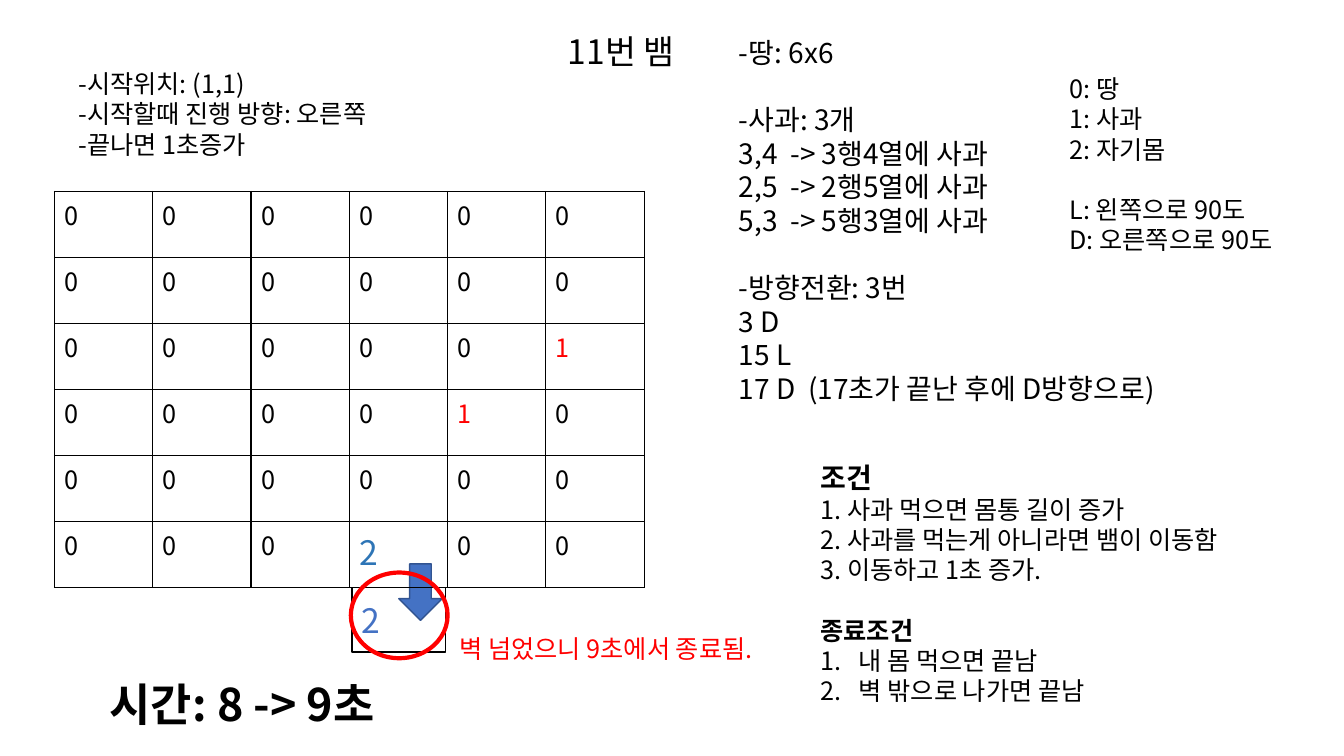
from lxml import etree
from pptx import Presentation
from pptx.dml.color import RGBColor
from pptx.enum import shapes, text
from pptx.oxml import ns
from pptx.util import Inches, Pt

FONT = "Noto Sans CJK KR"
BLACK, RED, BLUE = "000000", "FF0000", "4472C4"


def color(code):
    return RGBColor.from_string(code)


def write(frame, lines, size, code=BLACK, gaps=()):
    """Fill a frame line by line; lines listed in gaps get one line of space above."""
    frame.text = "\n".join(lines)
    for number, para in enumerate(frame.paragraphs):
        para.alignment = text.PP_ALIGN.LEFT
        if number in gaps:
            para.space_before = Pt(size * 1.2)
        for span in para.runs:
            span.font.name = FONT
            span.font.size = Pt(size)
            span.font.color.rgb = color(code)
            etree.SubElement(span.font._element, ns.qn("a:ea"), typeface=FONT)


deck = Presentation()
deck.slide_width, deck.slide_height = Inches(13.33), Inches(7.5)
page = deck.slides.add_slide(deck.slide_layouts[5])

# Title
title = page.shapes.title
title.left, title.top = Inches(1.16), Inches(0.3)
title.width, title.height = Inches(10), Inches(1.81)
frame = title.text_frame
write(frame, ["11번 뱀"], 24)
frame.vertical_anchor = text.MSO_ANCHOR.TOP
frame.auto_size = text.MSO_AUTO_SIZE.NONE
frame.paragraphs[0].alignment = text.PP_ALIGN.CENTER
frame.paragraphs[0].line_spacing = 0.9
frame.paragraphs[0].space_before = Pt(10)

# Board: apples are 1, the snake's head is 2
SIDE = 6
special = {(2, 5): ("1", 18, RED), (3, 4): ("1", 18, RED), (5, 3): ("2", 24, "2E75B6")}
board = page.shapes.add_table(SIDE, SIDE, Inches(0.54), Inches(1.9),
                              Inches(5.85), Inches(3.93)).table
board.first_row = board.horz_banding = False
for row in range(SIDE):
    for column in range(SIDE):
        cell = board.cell(row, column)
        value, size, code = special.get((row, column), ("0", 18, BLACK))
        write(cell.text_frame, [value], size, code)
        properties = cell._tc.get_or_add_tcPr()
        for edge in ("a:lnL", "a:lnR", "a:lnT", "a:lnB"):
            border = etree.SubElement(properties, ns.qn(edge), w=str(Pt(1)))
            fill = etree.SubElement(border, ns.qn("a:solidFill"))
            etree.SubElement(fill, ns.qn("a:srgbClr"), val=BLACK)
        cell.fill.background()

# Notes: left, top, width, height, size, colour, lines, lines with space above
notes = {
    "legend": (10.51, 0.68, 2.49, 1.92, 18, BLACK,
               ["0: 땅", "1: 사과", "2: 자기몸", "L: 왼쪽으로 90도", "D: 오른쪽으로 90도"], [3]),
    "input": (7.23, 0.3, 4.95, 3.8, 20, BLACK,
              ["-땅: 6x6", "-사과: 3개", "3,4  -> 3행4열에 사과", "2,5  -> 2행5열에 사과",
               "5,3  -> 5행3열에 사과", "-방향전환: 3번", "3 D", "15 L",
               "17 D  (17초가 끝난 후에 D방향으로)"], [1, 5]),
    "start": (0.68, 0.63, 3.51, 1.01, 18, BLACK,
              ["-시작위치: (1,1)", "-시작할때 진행 방향: 오른쪽", "-끝나면 1초증가"], []),
    "rules": (8.04, 4.52, 4.95, 2.56, 18, BLACK,
              ["조건", "1. 사과 먹으면 몸통 길이 증가", "2. 사과를 먹는게 아니라면 뱀이 이동함",
               "3. 이동하고 1초 증가.", "종료조건", "내 몸 먹으면 끝남", "벽 밖으로 나가면 끝남"], [4]),
    "time": (0.99, 6.66, 3.98, 0.64, 32, BLACK, ["시간: 8 -> 9초"], []),
    "ending": (4.46, 6.23, 3.44, 0.4, 18, RED, ["벽 넘었으니 9초에서 종료됨."], []),
}
paragraphs = {}
for name, (left, top, width, height, size, code, lines, gaps) in notes.items():
    box = page.shapes.add_textbox(Inches(left), Inches(top), Inches(width), Inches(height))
    box.text_frame.word_wrap = True
    box.text_frame.auto_size = text.MSO_AUTO_SIZE.SHAPE_TO_FIT_TEXT
    write(box.text_frame, lines, size, code, gaps)
    paragraphs[name] = box.text_frame.paragraphs

# Bold headings and the numbered end conditions
rules = paragraphs["rules"]
for heading in (rules[0], rules[4], paragraphs["time"][0]):
    heading.runs[0].font.bold = True
rules[0].runs[0].font.size = Pt(20)
for para in rules[5:]:
    properties = para._p.get_or_add_pPr()
    properties.set("marL", str(Inches(0.38)))
    properties.set("indent", str(Inches(-0.38)))
    etree.SubElement(properties, ns.qn("a:buFont"), typeface="+mj-lt")
    etree.SubElement(properties, ns.qn("a:buAutoNum"), type="arabicPeriod")

# Move beyond the wall: arrow, outside cell, red ring
KIND = shapes.MSO_SHAPE
marks = [
    (KIND.RIGHT_ARROW, 3.89, 5.66, 0.56, 0.43, BLUE, "325491", 1),
    (KIND.RECTANGLE, 3.49, 5.83, 0.93, 0.64, None, BLACK, 1),
    (KIND.OVAL, 3.48, 5.68, 0.96, 0.85, None, RED, 3),
]
drawn = []
for kind, left, top, width, height, fill, outline, weight in marks:
    shape = page.shapes.add_shape(kind, Inches(left), Inches(top), Inches(width), Inches(height))
    shape.shadow.inherit = False
    if fill:
        shape.fill.solid()
        shape.fill.fore_color.rgb = color(fill)
    else:
        shape.fill.background()
    shape.line.color.rgb = color(outline)
    shape.line.width = Pt(weight)
    drawn.append(shape)
arrow, outside, ring = drawn
arrow.rotation = 90
write(outside.text_frame, ["2"], 24, BLUE)
outside.text_frame.vertical_anchor = text.MSO_ANCHOR.MIDDLE

deck.save("out.pptx")
